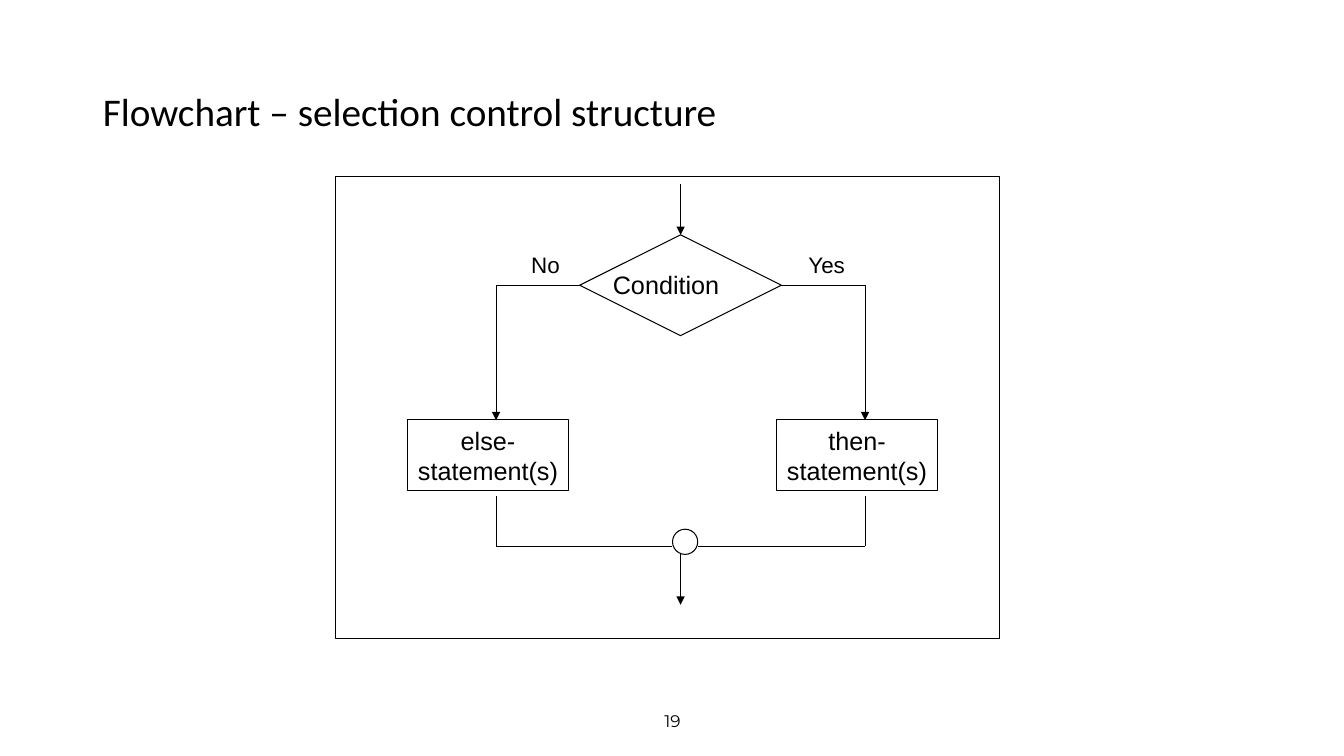
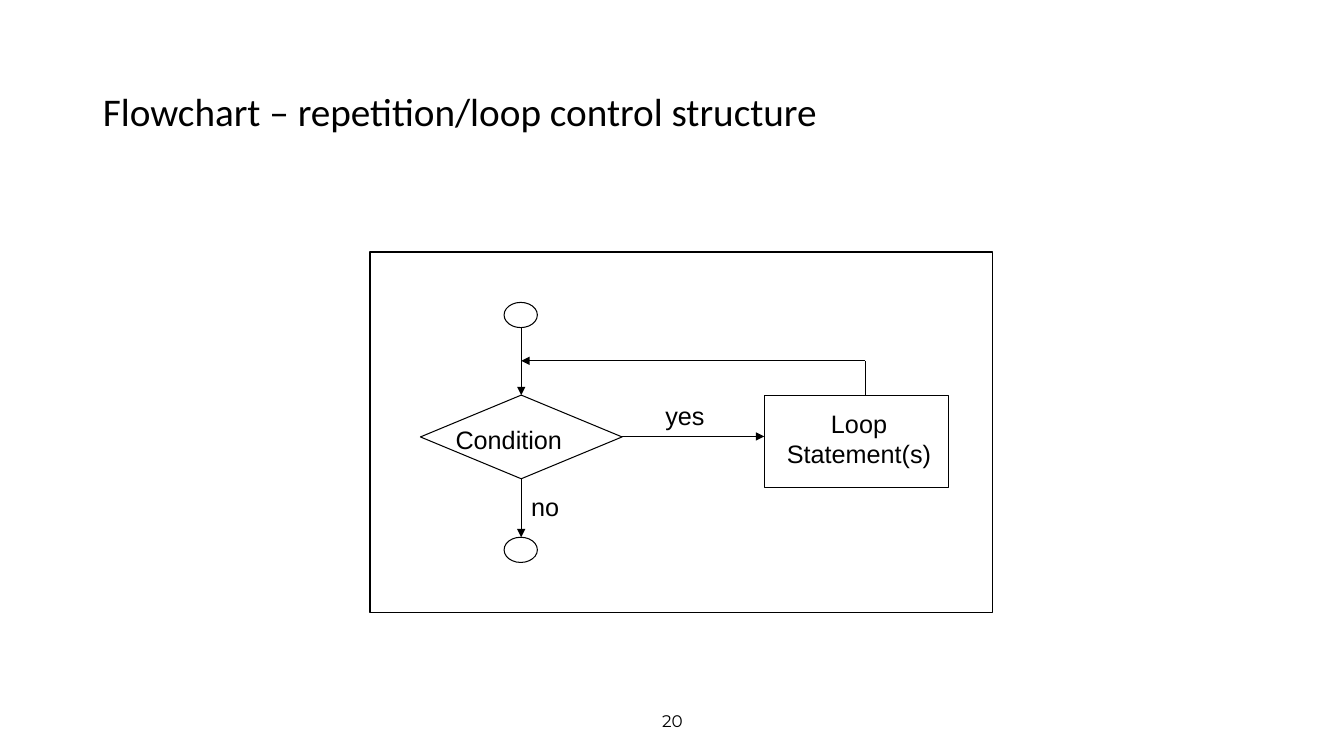
from itertools import pairwise

from pptx import Presentation
from pptx.dml.color import RGBColor
from pptx.enum import shapes, text
from pptx.oxml.ns import qn
from pptx.util import Emu, Pt

PX = 9144  # 100 px to the inch
INK = {"line": "000000", "text": "000000"}
KIND = shapes.MSO_SHAPE
PAGE = (1333, 750)
TITLE = (92, 40, 1150, 145)
NUMBER = (442, 695, 450, 40)

# Content: nodes are (kind, box, text); labels are (text, box, format);
# routes are (points, arrow at the end)
SLIDES = [
    {
        "title": "Flowchart – selection control structure",
        "number": "19",
        "nodes": [
            (KIND.RECTANGLE, (333, 175, 658, 458), ""),
            (KIND.FLOWCHART_DECISION, (575, 233, 200, 100), ""),
            (KIND.RECTANGLE, (404, 416, 160, 71), "else-\nstatement(s)"),
            (KIND.RECTANGLE, (770, 416, 160, 71), "then-\nstatement(s)"),
            (KIND.FLOWCHART_CONNECTOR, (667, 525, 25, 25), ""),
        ],
        "labels": [
            ("Condition", (598, 262, 126, 40), {}),
            ("Yes", (792, 244, 58, 37), {"size": 16}),
            ("No", (517, 244, 48, 37), {"size": 16}),
        ],
        "routes": [
            ([(675, 183), (675, 233)], True),
            ([(575, 283), (492, 283), (492, 417)], True),
            ([(775, 283), (858, 283), (858, 417)], True),
            ([(492, 492), (492, 542), (667, 542)], False),
            ([(858, 492), (858, 542), (692, 542)], False),
            ([(675, 550), (675, 600)], True),
        ],
    },
    {
        "title": "Flowchart – repetition/loop control structure",
        "number": "20",
        "nodes": [
            (KIND.RECTANGLE, (367, 250, 617, 358), ""),
            (KIND.FLOWCHART_DECISION, (417, 392, 200, 83), ""),
            (KIND.FLOWCHART_PROCESS, (758, 392, 183, 92), ""),
            (KIND.OVAL, (500, 300, 33, 25), ""),
            (KIND.OVAL, (500, 533, 33, 25), ""),
        ],
        "labels": [
            ("Condition", (442, 416, 126, 40), {}),
            ("Loop\nStatement(s)", (758, 400, 188, 70),
             {"align": "CENTER", "wrap": True}),
            ("yes", (650, 392, 75, 40), {"wrap": True}),
            ("no", (517, 483, 75, 40), {"wrap": True}),
        ],
        "routes": [
            ([(517, 325), (517, 392)], True),
            ([(617, 433), (758, 433)], True),
            ([(858, 392), (858, 358), (517, 358)], True),
            ([(517, 475), (517, 533)], True),
        ],
    },
]


def emu(nums):
    return [Emu(n * PX) for n in nums]


def write(shape, words, size=18, font="Arial", align="LEFT",
          anchor="TOP", wrap=False, space=1.0):
    frame = shape.text_frame
    frame.text = words
    frame.word_wrap = wrap
    frame.auto_size = text.MSO_AUTO_SIZE.NONE
    frame.vertical_anchor = text.MSO_ANCHOR[anchor]
    for para in frame.paragraphs:
        para.alignment = text.PP_ALIGN[align]
        para.line_spacing = space
        for run in para.runs:
            run.font.size = Pt(size)
            run.font.name = font
            run.font.color.rgb = RGBColor.from_string(INK["text"])


def stroke(line):
    line.color.rgb = RGBColor.from_string(INK["line"])
    line.width = Pt(0.75)


def node(group, kind, box, words):
    shape = group.add_shape(kind, *emu(box))
    shape.shadow.inherit = False
    shape.fill.background()
    stroke(shape.line)
    if words:
        write(shape, words, align="CENTER", anchor="MIDDLE")


def route(group, points, arrow):
    for start, end in pairwise(points):
        link = group.add_connector(shapes.MSO_CONNECTOR.STRAIGHT,
                                   *emu(start + end))
        stroke(link.line)
        props = link._element.spPr
        props.append(props.makeelement(qn("a:effectLst"), {}))
        if arrow and end == points[-1]:
            ln = link.line._get_or_add_ln()
            ln.append(ln.makeelement(qn("a:tailEnd"), {"type": "triangle"}))


def build(deck, data):
    slide = deck.slides.add_slide(deck.slide_layouts[5])

    # Title and page number
    title = slide.shapes.title
    title.left, title.top, title.width, title.height = emu(TITLE)
    write(title, data["title"], size=28, font="Calibri",
          anchor="MIDDLE", wrap=True, space=0.9)
    write(slide.shapes.add_textbox(*emu(NUMBER)), data["number"], size=12,
          font="Montserrat", align="CENTER", anchor="MIDDLE", wrap=True)

    # Flowchart
    chart = slide.shapes.add_group_shape().shapes
    for item in data["nodes"]:
        node(chart, *item)
    for points, arrow in data["routes"]:
        route(chart, points, arrow)
    for words, box, style in data["labels"]:
        write(chart.add_textbox(*emu(box)), words, **style)


def main():
    deck = Presentation()
    deck.slide_width, deck.slide_height = emu(PAGE)
    for data in SLIDES:
        build(deck, data)
    deck.save("out.pptx")


if __name__ == "__main__":
    main()
